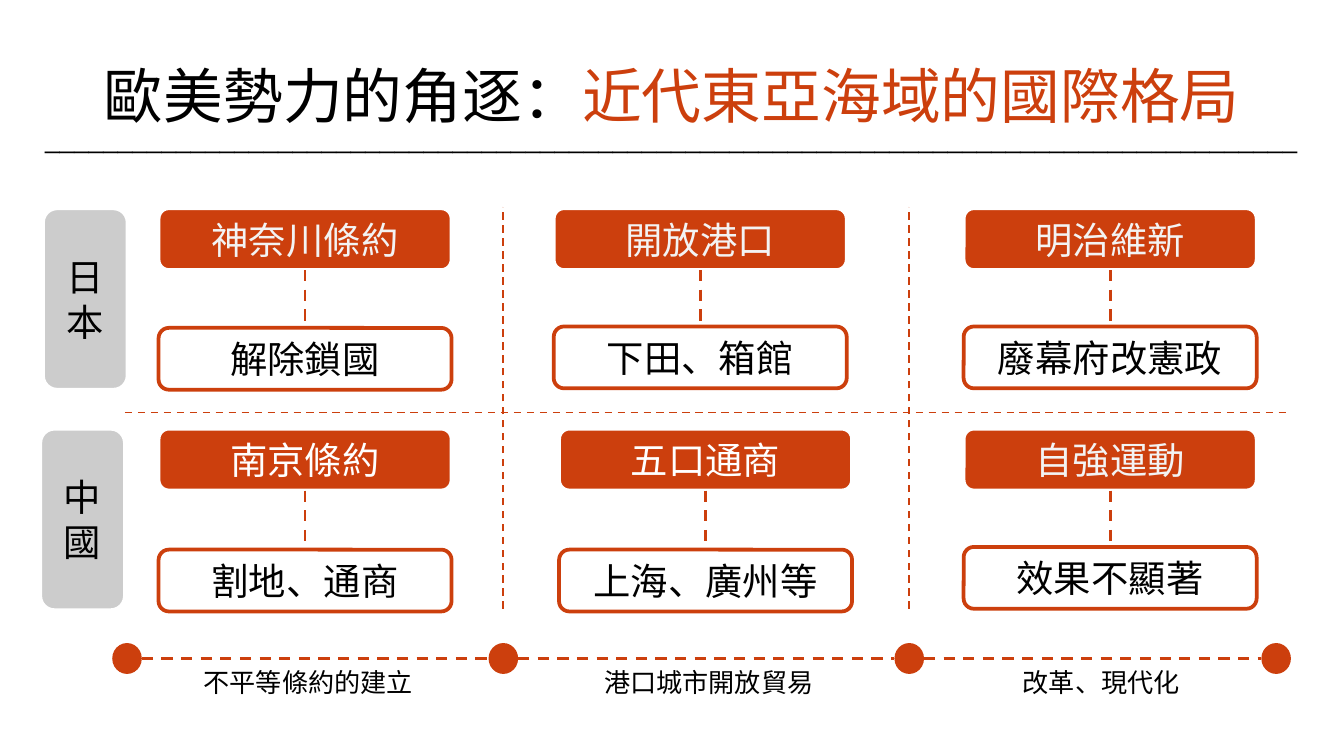
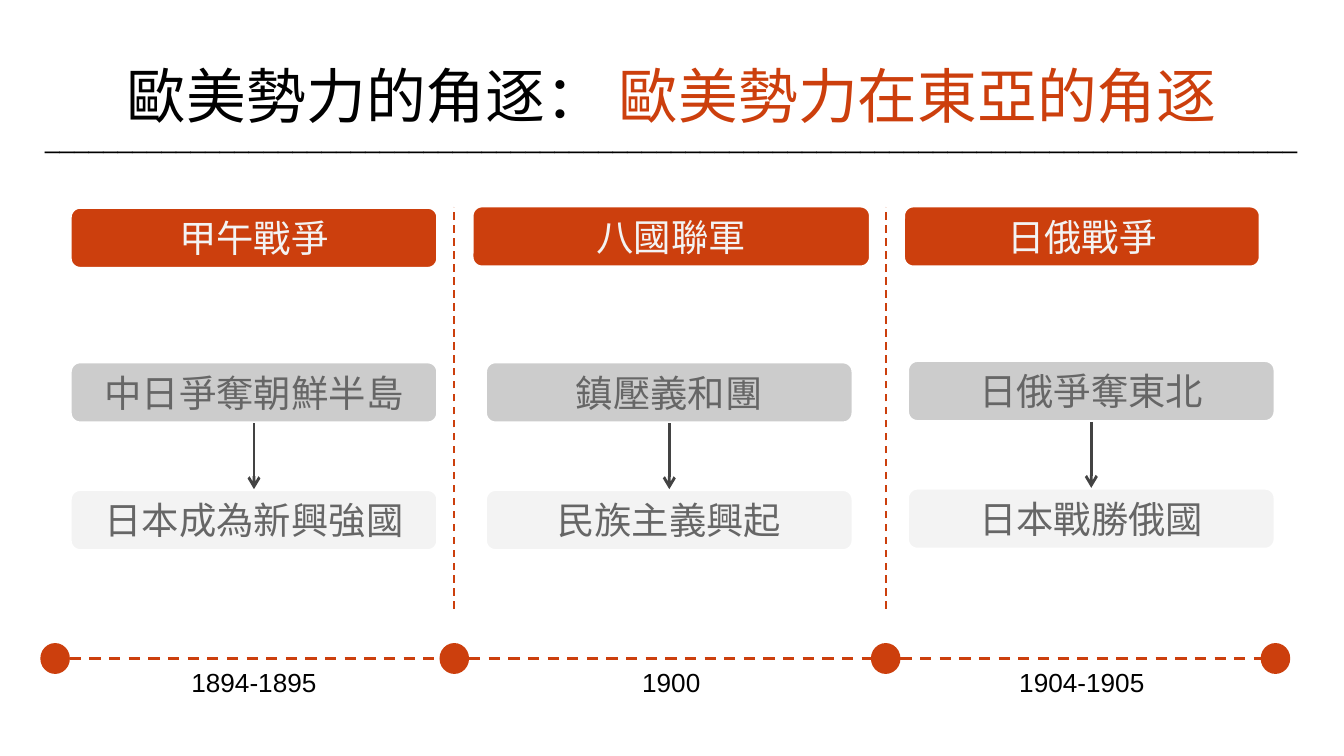
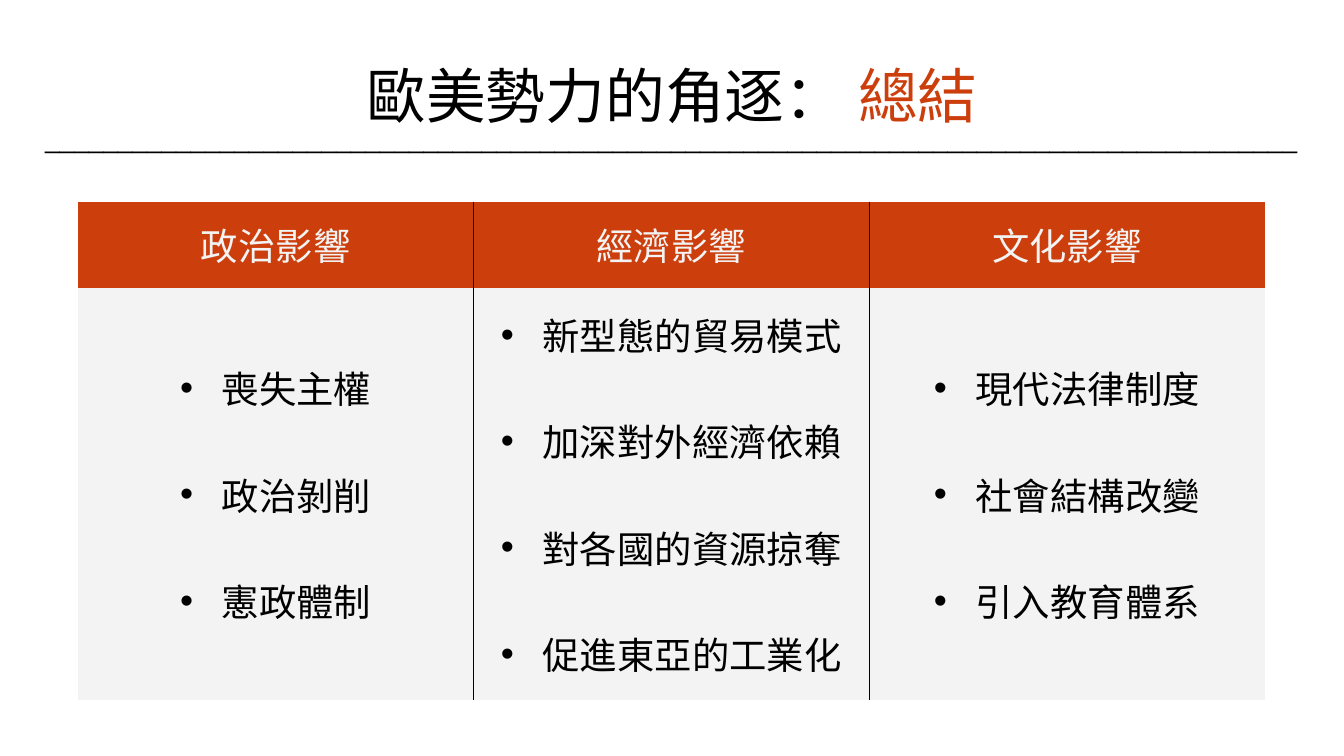
from dataclasses import dataclass
from itertools import pairwise
from lxml.etree import SubElement
from pptx import Presentation
from pptx.dml.color import RGBColor
from pptx.enum.dml import MSO_LINE
from pptx.enum.shapes import MSO_CONNECTOR, MSO_SHAPE
from pptx.enum.text import MSO_ANCHOR, MSO_AUTO_SIZE, PP_ALIGN
from pptx.oxml import parse_xml
from pptx.oxml.ns import nsdecls, qn
from pptx.util import Inches, Pt


@dataclass(frozen=True)
class Theme:
    """Colours, fonts and type sizes shared by every slide."""
    accent: str = "CC3F0D"
    ink: str = "000000"
    paper: str = "FFFFFF"
    pale: str = "F3F3F3"
    silver: str = "CCCCCC"
    slate: str = "666666"
    arrow: str = "434343"
    sans: str = "Arial"
    mono: str = "DejaVu Sans Mono"
    title: int = 32
    body: int = 20
    caption: int = 14
    bullet_gap: int = 28


class Deck:
    """Draws each kind of element on a grid of 100 columns by 56.25 rows."""

    def __init__(self, theme):
        self.theme = theme
        self.presentation = Presentation()
        self.presentation.slide_width = Inches(10)
        self.presentation.slide_height = Inches(5.625)
        self.unit = self.presentation.slide_width / 100
        self.slide = None

    def grid(self, *lengths):
        """Turn columns or rows into slide lengths."""
        return [round(length * self.unit) for length in lengths]

    def style(self, paragraph, size, color, font=None):
        """Centre a paragraph and set its type."""
        paragraph.alignment = PP_ALIGN.CENTER
        paragraph.font.size = Pt(size)
        paragraph.font.name = font or self.theme.sans
        if color:
            paragraph.font.color.rgb = RGBColor.from_string(color)

    def label(self, text, left, top, width, height, size, wrap=True):
        """Add a centred text box and return its paragraph."""
        frame = self.slide.shapes.add_textbox(*self.grid(left, top, width, height)).text_frame
        frame.word_wrap = wrap
        frame.auto_size = MSO_AUTO_SIZE.SHAPE_TO_FIT_TEXT
        paragraph = frame.paragraphs[0]
        paragraph.text = text
        self.style(paragraph, size, self.theme.ink)
        return paragraph

    def new_slide(self, topic, title_width=87.3):
        """Start a slide with the two-colour title and its rule."""
        self.slide = self.presentation.slides.add_slide(self.presentation.slide_layouts[6])
        heading = self.label("歐美勢力的角逐：", 50 - title_width / 2, 3.9, title_width, 6.4,
                             self.theme.title, wrap=False)
        heading.font.color.rgb = RGBColor.from_string(self.theme.ink)
        topic_run = heading.add_run()
        topic_run.text = topic
        topic_run.font.color.rgb = RGBColor.from_string(self.theme.accent)
        self.label("_" * 86, 0, 8.6, 100, 3.4, self.theme.caption)

    def shape(self, preset, left, top, width, height, fill=None, line=None):
        """Add a flat preset shape."""
        shape = self.slide.shapes.add_shape(preset, *self.grid(left, top, width, height))
        shape.shadow.inherit = False
        if fill:
            shape.fill.solid()
            shape.fill.fore_color.rgb = RGBColor.from_string(fill)
        else:
            shape.fill.background()
        if line:
            shape.line.color.rgb = RGBColor.from_string(line)
            shape.line.width = Pt(2)
        else:
            shape.line.fill.background()
        return shape

    def box(self, text, left, top, width, height=4.6, fill=None, line=None, color=None, font=None):
        """Add a rounded box with centred text."""
        frame = self.shape(MSO_SHAPE.ROUNDED_RECTANGLE, left, top, width, height,
                           fill, line or self.theme.paper).text_frame
        frame.word_wrap = True
        frame.vertical_anchor = MSO_ANCHOR.MIDDLE
        frame.text = text
        for paragraph in frame.paragraphs:
            self.style(paragraph, self.theme.body, color or self.theme.ink, font)

    def header(self, text, left, top, width, color=None):
        """Add a filled heading box."""
        self.box(text, left, top, width, fill=self.theme.accent,
                 color=color or self.theme.pale, font=self.theme.mono)

    def line(self, x1, y1, x2, y2, weight=1.5, color=None, arrow=False):
        """Add a dashed line, or a solid arrow."""
        connector = self.slide.shapes.add_connector(
            MSO_CONNECTOR.STRAIGHT, *self.grid(x1, y1, x2, y2))
        connector.line.color.rgb = RGBColor.from_string(color or self.theme.accent)
        connector.line.width = Pt(weight)
        if arrow:
            SubElement(connector.line._get_or_add_ln(), qn("a:tailEnd"), type="arrow")
        else:
            connector.line.dash_style = MSO_LINE.DASH
        SubElement(connector._element.spPr, qn("a:effectLst"))

    def timeline(self, stops, periods):
        """Add dots, dashed links, period captions and inner dividers."""
        dot = 2.2
        for stop in stops:
            self.shape(MSO_SHAPE.OVAL, stop - dot / 2, 47.85, dot, 2.3, self.theme.accent)
        for start, end in pairwise(stops):
            self.line(start + dot / 2, 49, end - dot / 2, 49)
        for text, left, width in periods:
            self.label(text, left, 49.1, width, 3.4, self.theme.caption)
        for stop in stops[1:-1]:
            self.line(stop, 45.3, stop, 15.4, weight=1)

    def cell(self, cell, lines, fill, color, inner_sides, bulleted=False):
        """Fill a table cell and draw only its inner side borders."""
        cell.fill.solid()
        cell.fill.fore_color.rgb = RGBColor.from_string(fill)
        cell.vertical_anchor = MSO_ANCHOR.MIDDLE
        cell.text = "\n".join(lines)
        for order, paragraph in enumerate(cell.text_frame.paragraphs):
            if bulleted:
                properties = paragraph._p.get_or_add_pPr()
                properties.set("marL", str(Inches(0.31)))
                properties.set("indent", str(-Inches(0.31)))
                bullet_color = SubElement(properties, qn("a:buClr"))
                SubElement(bullet_color, qn("a:srgbClr"), val=self.theme.ink)
                SubElement(properties, qn("a:buFont"), typeface=self.theme.sans)
                SubElement(properties, qn("a:buChar"), char="•")
                if order:
                    paragraph.space_before = Pt(self.theme.bullet_gap)
            self.style(paragraph, self.theme.body, color)
        for order, side in enumerate("LRTB"):
            paint = (f'<a:solidFill><a:srgbClr val="{self.theme.ink}"/></a:solidFill>'
                     if side in inner_sides else "<a:noFill/>")
            border = f'<a:ln{side} w="{Pt(0.5)}" {nsdecls("a")}>{paint}</a:ln{side}>'
            cell._tc.get_or_add_tcPr().insert(order, parse_xml(border))

    def table(self, columns, left, top, width, row_heights):
        """Add a table of headed bullet lists."""
        table = self.slide.shapes.add_table(
            2, len(columns), *self.grid(left, top, width, sum(row_heights))).table
        table.first_row = table.horz_banding = False
        for row, height in zip(table.rows, self.grid(*row_heights)):
            row.height = height
        for index, (heading, points) in enumerate(columns.items()):
            inner_sides = ("L" if index else "") + ("R" if index < len(columns) - 1 else "")
            self.cell(table.cell(0, index), [heading], self.theme.accent, self.theme.pale, inner_sides)
            self.cell(table.cell(1, index), points, self.theme.pale, self.theme.ink,
                      inner_sides, bulleted=True)


def treaties_slide(deck):
    """Compare Japan and China across three stages."""
    theme = deck.theme
    deck.new_slide("近代東亞海域的國際格局")
    deck.timeline([9.45, 37.45, 67.65, 94.95],
                  [("不平等條約的建立", 14.1, 17.7), ("港口城市開放貿易", 43.6, 18.3),
                   ("改革、現代化", 74.4, 15.1)])
    deck.line(9.3, 30.7, 95.7, 30.7, weight=1)
    countries = [("日\n本", 3.2, 15.5), ("中國", 3, 31.9)]
    for country, left, top in countries:
        deck.box(country, left, top, 6.3, 13.5, fill=theme.silver, font=theme.mono)
    width, height = 21.8, 4.6
    events = [
        ("神奈川條約", "解除鎖國", 11.8, 15.5, 24.4, theme.pale),
        ("開放港口", "下田、箱館", 41.2, 15.5, 24.3, theme.pale),
        ("明治維新", "廢幕府改憲政", 71.7, 15.5, 24.3, theme.pale),
        ("南京條約", "割地、通商", 11.8, 31.9, 40.9, theme.paper),
        ("五口通商", "上海、廣州等", 41.6, 31.9, 40.9, theme.paper),
        ("自強運動", "效果不顯著", 71.7, 31.9, 40.7, theme.pale),
    ]
    for event, outcome, left, top, outcome_top, color in events:
        deck.header(event, left, top, width, color)
        deck.box(outcome, left, outcome_top, width, line=theme.accent)
        middle = left + width / 2
        deck.line(middle, top + height, middle, outcome_top)


def wars_slide(deck):
    """Show three wars with their cause and result."""
    theme = deck.theme
    deck.new_slide(" 歐美勢力在東亞的角逐")
    wars = [
        ("甲午戰爭", "1894-1895", 5.2, 27.4, 15.4, "中日爭奪朝鮮半島", "日本成為新興強國", 5.2, 26.9),
        ("八國聯軍", "1900", 35.1, 29.7, 15.3, "鎮壓義和團", "民族主義興起", 36.1, 26.9),
        ("日俄戰爭", "1904-1905", 67.2, 26.6, 15.3, "日俄爭奪東北", "日本戰勝俄國", 67.5, 26.8),
    ]
    deck.timeline([4.1, 33.8, 65.9, 94.9],
                  [(years, left, width) for _, years, left, width, *_ in wars])
    step_width, step_height, step_pitch = 27.4, 4.6, 9.5
    for war, _, left, width, top, cause, result, step_left, step_top in wars:
        deck.header(war, left, top, width)
        result_top = step_top + step_pitch
        deck.box(cause, step_left, step_top, step_width, fill=theme.silver, color=theme.slate)
        deck.box(result, step_left, result_top, step_width, fill=theme.pale, color=theme.slate)
        middle = step_left + step_width / 2
        deck.line(middle, step_top + step_height, middle, result_top, color=theme.arrow, arrow=True)


def summary_slide(deck):
    """Sum up the political, economic and cultural effects."""
    deck.new_slide(" 總結", title_width=48.1)
    effects = {
        "政治影響": ["喪失主權", "政治剝削", "憲政體制"],
        "經濟影響": ["新型態的貿易模式", "加深對外經濟依賴", "對各國的資源掠奪", "促進東亞的工業化"],
        "文化影響": ["現代法律制度", "社會結構改變", "引入教育體系"],
    }
    deck.table(effects, 5.8, 15, 88.3, [6.4, 30.7])


def main():
    """Build the three slides and save them."""
    deck = Deck(Theme())
    treaties_slide(deck)
    wars_slide(deck)
    summary_slide(deck)
    deck.presentation.save("out.pptx")


if __name__ == "__main__":
    main()
